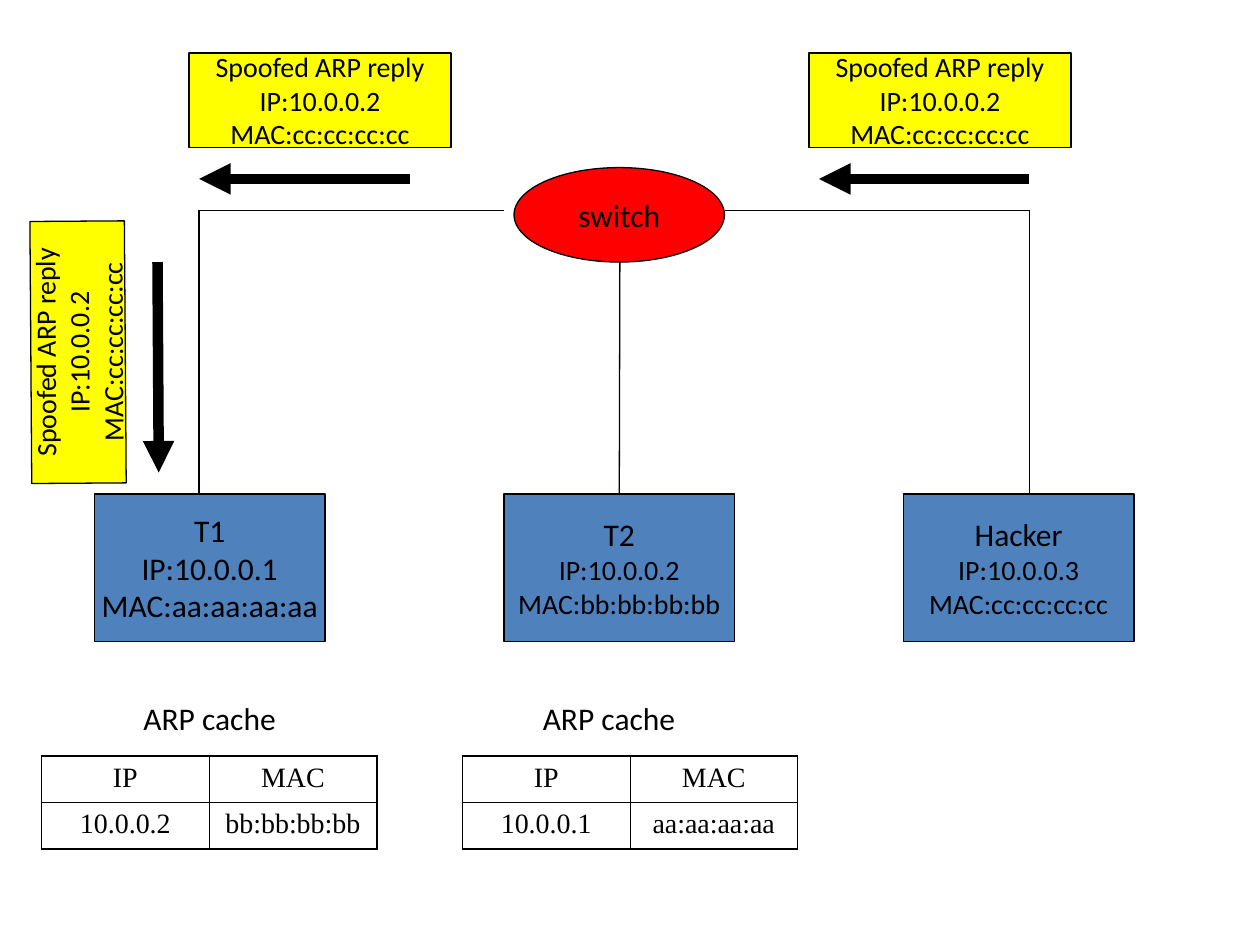
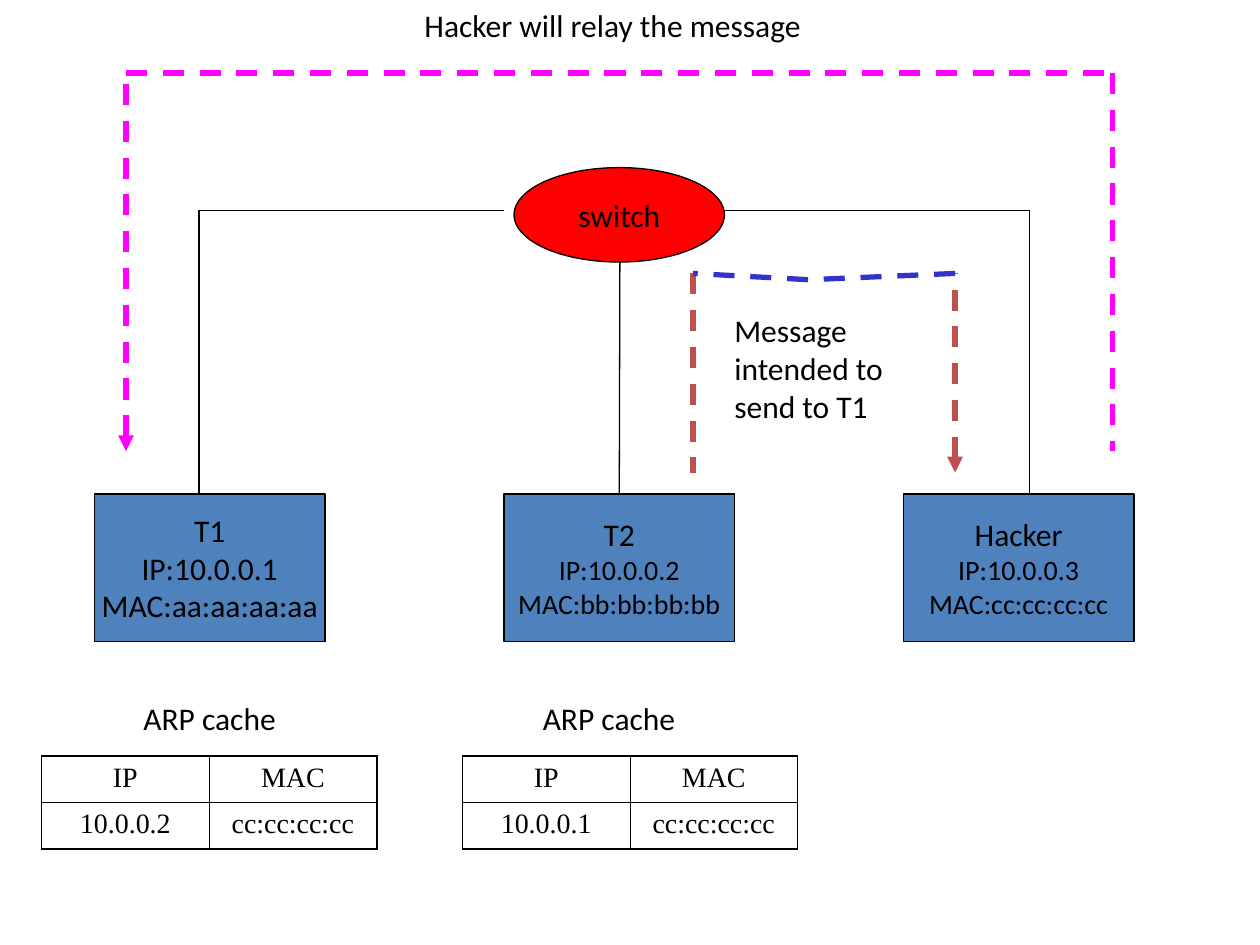
import pptx
import pptx.util
import pptx.dml.color
import pptx.enum.dml
import pptx.enum.shapes
import pptx.enum.text
import pptx.oxml.ns
from lxml import etree

Inches = pptx.util.Inches
Pt = pptx.util.Pt
RGBColor = pptx.dml.color.RGBColor
SHAPE = pptx.enum.shapes.MSO_SHAPE
ALIGN = pptx.enum.text.PP_ALIGN
qn = pptx.oxml.ns.qn

BLACK = RGBColor(0, 0, 0)
BLUE = RGBColor(0x4F, 0x81, 0xBD)
RED = RGBColor(0xFF, 0, 0)
YELLOW = RGBColor(0xFF, 0xFF, 0)
MAGENTA = RGBColor(0xFF, 0, 0xFF)
BRICK = RGBColor(0xC0, 0x50, 0x4D)
INDIGO = RGBColor(0x33, 0x33, 0xCC)
FONT, TABLE_FONT = "Calibri", "Times New Roman"

# Hosts: left edge, lines of text, size of the address lines
HOSTS = [
    (0.75, ["T1", "IP:10.0.0.1", "MAC:aa:aa:aa:aa"], 18),
    (4, ["T2", "IP:10.0.0.2", "MAC:bb:bb:bb:bb"], 16),
    (7.17, ["Hacker", "IP:10.0.0.3", "MAC:cc:cc:cc:cc"], 16),
]
HOST_TOP, HOST_W, HOST_H = 3.92, 1.83, 1.17
SWITCH = (4.08, 1.33, 1.67, 0.75)
CABLES = [
    ((1.58, HOST_TOP), (1.58, 1.67)),
    ((1.58, 1.67), (4, 1.67)),
    ((5.75, 1.67), (8.17, 1.67)),
    ((8.17, HOST_TOP), (8.17, 1.67)),
]

# ARP caches: table left, caption left, IP; the MACs vary by slide
CACHES = [(0.33, 1.04, "10.0.0.2"), (3.67, 4.21, "10.0.0.1")]
MACS_BEFORE = ["bb:bb:bb:bb", "aa:aa:aa:aa"]
MACS_AFTER = ["cc:cc:cc:cc", "cc:cc:cc:cc"]
CACHE_TOP, COL_W, ROW_H = 6, 1.33, 0.37

SPOOFED = ["Spoofed ARP reply", "IP:10.0.0.2", "MAC:cc:cc:cc:cc"]
# Spoofed replies: left, top, rotation, arrow start, arrow end
REPLIES = [
    (6.42, 0.42, 0, (8.17, 1.42), (6.5, 1.42)),
    (-0.42, 2.42, 269.6, (1.25, 2.08), (1.26, 3.75)),
    (1.5, 0.42, 0, (3.25, 1.42), (1.58, 1.42)),
]

# Message routes: start, end, colour, arrowhead
ROUTES = [
    ((1, 3.58), (1, 0.58), MAGENTA, "headEnd"),
    ((1, 0.58), (8.83, 0.58), MAGENTA, None),
    ((8.83, 0.58), (8.83, 3.58), MAGENTA, None),
    ((7.58, 3.75), (7.58, 2.17), BRICK, "headEnd"),
    ((5.5, 2.17), (5.5, 3.75), BRICK, None),
]
SWITCH_HOP = [(7.58, 2.17), (6.42, 2.22), (5.5, 2.17)]
LABELS = [
    (3.27, 0, 3.68, 0.4, ["Hacker will relay the message"]),
    (5.73, 2.42, 1.56, 1, ["Message", "intended to", "send to T1"]),
]


def inches(values):
    return [Inches(v) for v in values]


def style(p, size, align, font=FONT):
    p.alignment = align
    p.font.name, p.font.size = font, Pt(size)
    p.font.color.rgb = BLACK


def write(sp, lines, sizes, align):
    tf = sp.text_frame
    tf.word_wrap = False
    tf.text = "\n".join(lines)
    for p, size in zip(tf.paragraphs, sizes):
        style(p, size, align)


def add_box(slide, kind, at, fill, lines, sizes):
    sp = slide.shapes.add_shape(kind, *inches(at))
    sp.shadow.inherit = False
    sp.fill.solid()
    sp.fill.fore_color.rgb = fill
    sp.line.color.rgb = BLACK
    sp.line.width = Pt(0.75)
    sp.text_frame.vertical_anchor = pptx.enum.text.MSO_ANCHOR.MIDDLE
    write(sp, lines, sizes, ALIGN.CENTER)
    return sp


def add_label(slide, at, lines):
    sp = slide.shapes.add_textbox(*inches(at))
    write(sp, lines, [18] * len(lines), ALIGN.LEFT)


def set_dash(line, color):
    line.color.rgb = color
    line.width = Pt(3)
    line.dash_style = pptx.enum.dml.MSO_LINE.DASH


def add_line(slide, start, end, width=0.75, arrow=None):
    """Draw a straight black line; arrow is headEnd (at start) or tailEnd (at end)."""
    line = slide.shapes.add_connector(
        pptx.enum.shapes.MSO_CONNECTOR.STRAIGHT, *inches(start + end))
    line.line.color.rgb = BLACK
    line.line.width = Pt(width)
    sp_pr = line._element.spPr
    if arrow:
        etree.SubElement(sp_pr.find(qn("a:ln")), qn("a:" + arrow), type="triangle")
    etree.SubElement(sp_pr, qn("a:effectLst"))
    return line


def set_borders(cell, row, col):
    """Thick on the outside of a two-by-two table, thin inside."""
    outer = {"L": col == 0, "R": col == 1, "T": row == 0, "B": row == 1}
    tc_pr = cell._tc.get_or_add_tcPr()
    for i, (side, thick) in enumerate(outer.items()):
        ln = etree.Element(qn("a:ln" + side), w=str(Pt(1.08 if thick else 0.45)))
        fill = etree.SubElement(ln, qn("a:solidFill"))
        etree.SubElement(fill, qn("a:srgbClr"), val=str(BLACK))
        tc_pr.insert(i, ln)


def add_cache(slide, left, ip, mac):
    table = slide.shapes.add_table(
        2, 2, *inches((left, CACHE_TOP, 2 * COL_W, 2 * ROW_H))).table
    table.first_row = table.horz_banding = False
    for r, values in enumerate([("IP", "MAC"), (ip, mac)]):
        for c, value in enumerate(values):
            cell = table.cell(r, c)
            cell.text = value
            cell.fill.background()
            style(cell.text_frame.paragraphs[0], 16, ALIGN.CENTER, TABLE_FONT)
            set_borders(cell, r, c)


def add_network(prs, macs):
    """Add a slide with the hosts, the switch, the cables and the ARP caches."""
    slide = prs.slides.add_slide(prs.slide_layouts[6])
    t1, t2, hacker = [
        add_box(slide, SHAPE.RECTANGLE, (left, HOST_TOP, HOST_W, HOST_H), BLUE,
                lines, (18, size, size))
        for left, lines, size in HOSTS]
    add_box(slide, SHAPE.OVAL, SWITCH, RED, ["switch"], [18])
    add_line(slide, (4.92, 2.08), (4.92, HOST_TOP)).end_connect(t2, 0)
    for start, end in CABLES:
        add_line(slide, start, end)
    for (left, caption_left, ip), mac in zip(CACHES, macs):
        add_cache(slide, left, ip, mac)
        add_label(slide, (caption_left, 5.5, 1.4, 0.4), ["ARP cache"])
    return slide


def add_spoofing_slide(prs):
    slide = add_network(prs, MACS_BEFORE)
    for left, top, rotation, start, end in REPLIES:
        sp = add_box(slide, SHAPE.RECTANGLE, (left, top, 2.08, 0.75), YELLOW,
                     SPOOFED, [16] * 3)
        sp.rotation = rotation
        add_line(slide, start, end, 6, "tailEnd")


def add_relay_slide(prs):
    slide = add_network(prs, MACS_AFTER)
    for start, end, color, arrow in ROUTES:
        set_dash(add_line(slide, start, end, 3, arrow).line, color)
    first, *rest = [inches(point) for point in SWITCH_HOP]
    builder = slide.shapes.build_freeform(*first)
    builder.add_line_segments(rest, close=False)
    hop = builder.convert_to_shape()
    hop.shadow.inherit = False
    hop.fill.background()
    set_dash(hop.line, INDIGO)
    for *at, lines in LABELS:
        add_label(slide, at, lines)


def main():
    prs = pptx.Presentation()
    prs.slide_width, prs.slide_height = Inches(10), Inches(7.5)
    add_spoofing_slide(prs)
    add_relay_slide(prs)
    prs.save("out.pptx")


if __name__ == "__main__":
    main()
